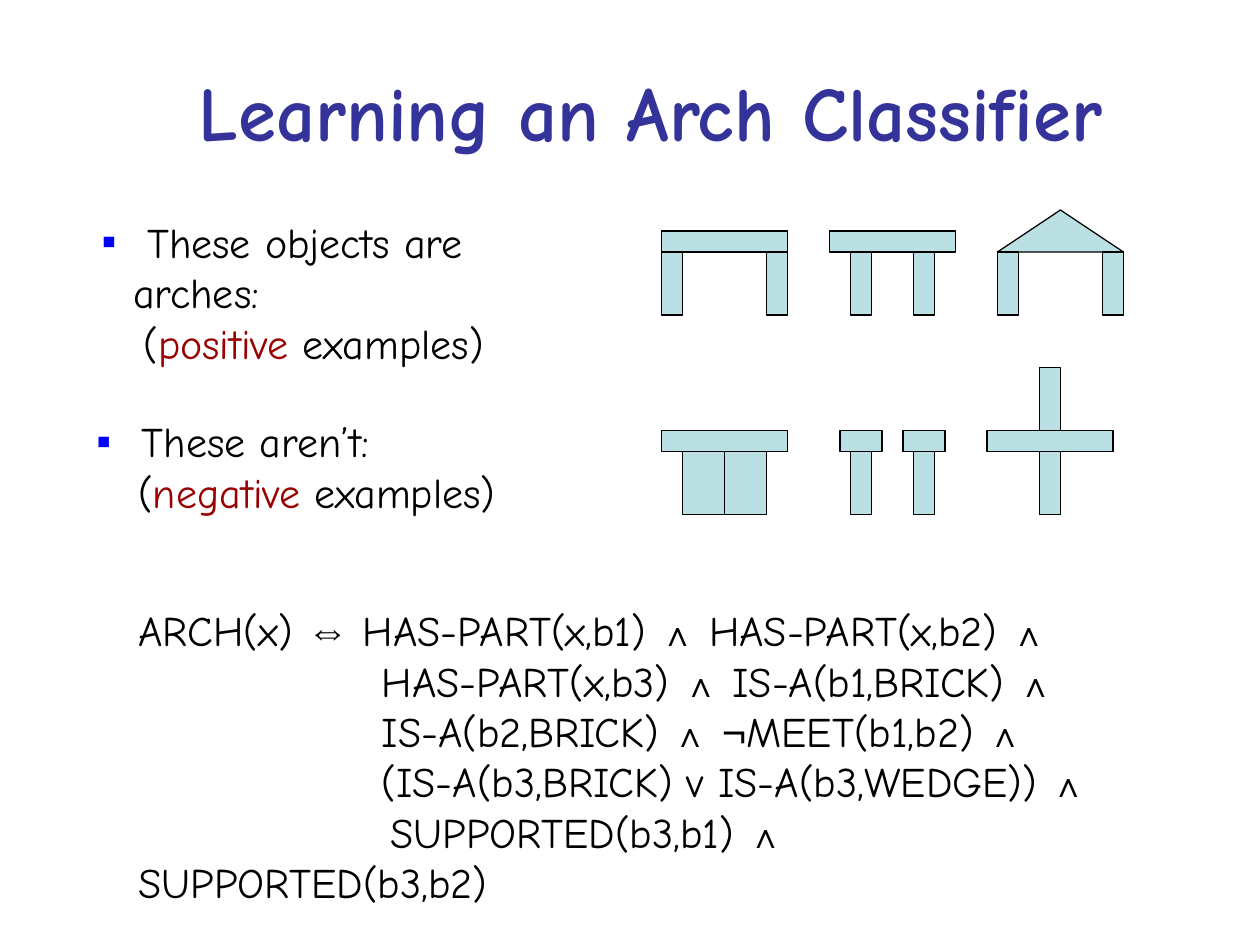
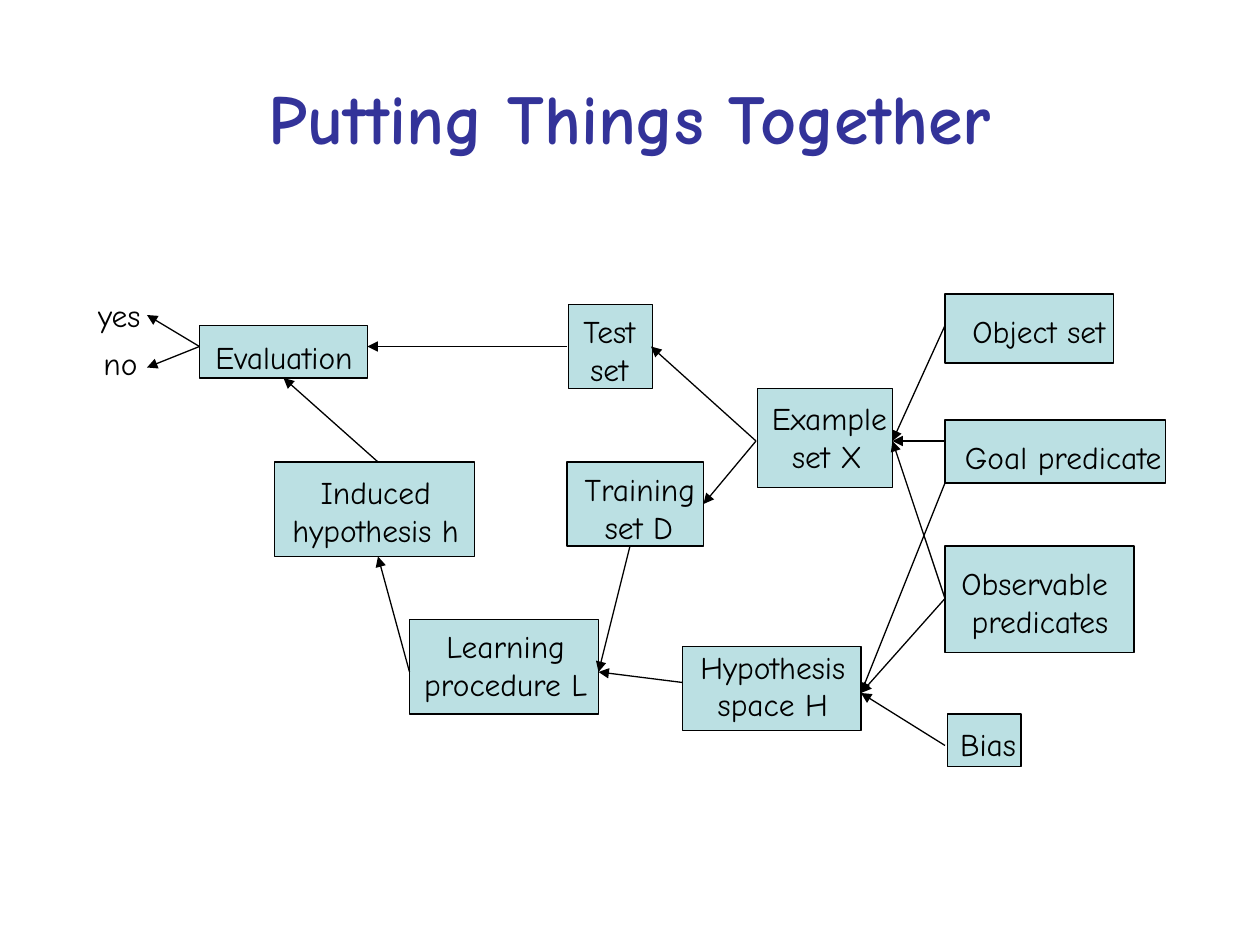
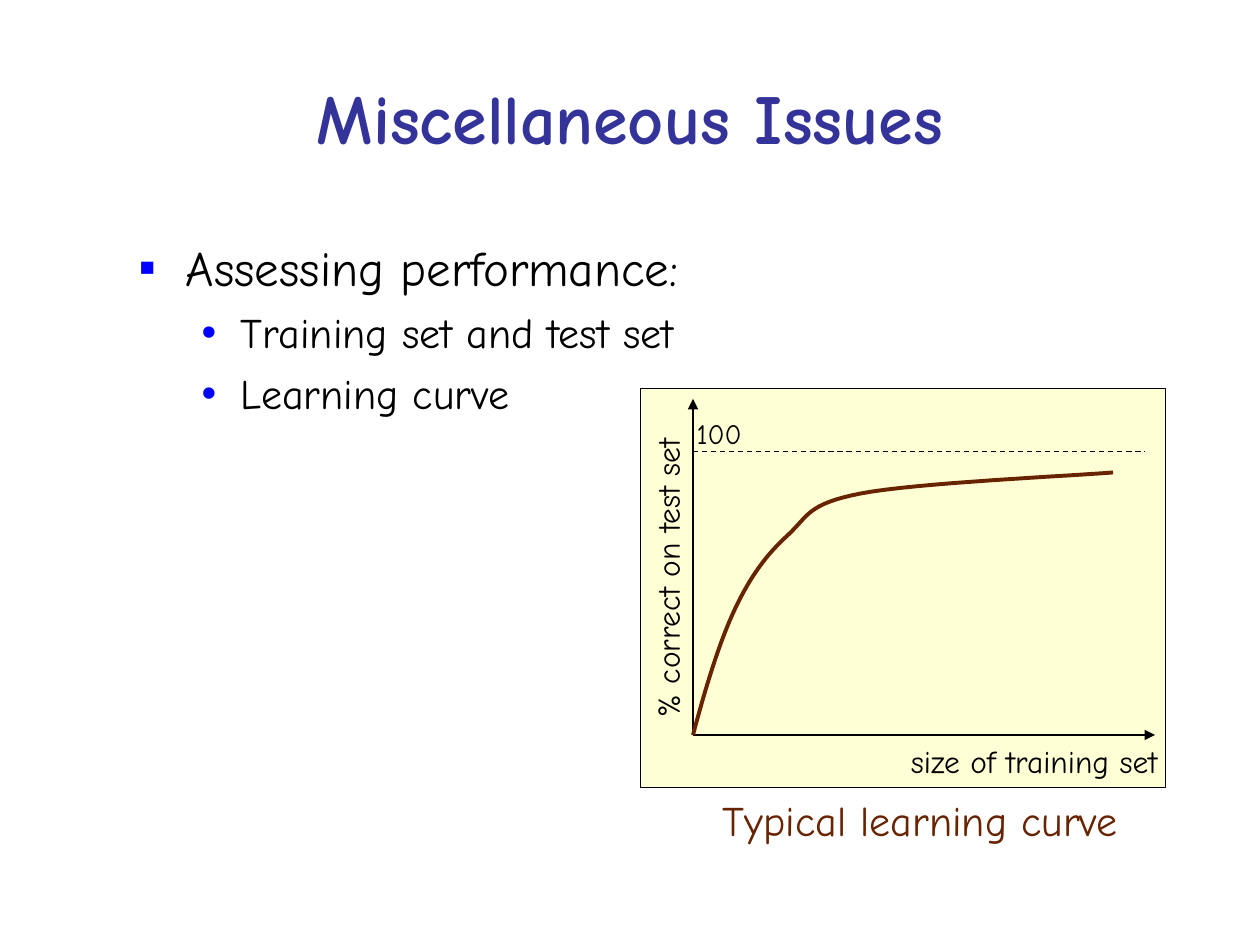
import itertools

import pptx
import pptx.dml.color
import pptx.enum.dml
import pptx.enum.shapes
import pptx.enum.text
import pptx.oxml
import pptx.oxml.ns
import pptx.util

Pt = pptx.util.Pt
RGB = pptx.dml.color.RGBColor
SHAPE = pptx.enum.shapes.MSO_SHAPE
ALIGN = pptx.enum.text.PP_ALIGN
qn = pptx.oxml.ns.qn

NAVY = RGB(0x33, 0x33, 0x99)
BLUE = RGB(0x00, 0x00, 0xFF)
AQUA = RGB(0xBB, 0xE0, 0xE3)
CREAM = RGB(0xFF, 0xFF, 0xD5)
RED = RGB(0x99, 0x00, 0x00)
BROWN = RGB(0x68, 0x23, 0x00)
BLACK = RGB(0x00, 0x00, 0x00)

FACE = "Comic Neue"
SIGN = "Arial"
UNIT = 12  # side of the grid on which the bricks lie
THIN = 0.75


class Deck:
    """Holds the shared style and the current slide."""

    def __init__(self):
        self.show = pptx.Presentation()
        self.show.slide_width = Pt(720)
        self.show.slide_height = Pt(540)
        self.slide = None

    def start(self, title, layout=5, size=40, top=21.6, width=648):
        self.slide = self.show.slides.add_slide(self.show.slide_layouts[layout])
        frame = self.place(self.slide.shapes.title, 36, top, width, 90)
        frame.vertical_anchor = pptx.enum.text.MSO_ANCHOR.MIDDLE
        self.line(frame, [(title, NAVY)], size, bold=True, align=ALIGN.CENTER)

    def place(self, shape, left, top, width, height):
        """Moves a shape and gives back its text frame, set not to resize."""
        shape.left, shape.top = Pt(left), Pt(top)
        shape.width, shape.height = Pt(width), Pt(height)
        shape.text_frame.auto_size = pptx.enum.text.MSO_AUTO_SIZE.NONE
        return shape.text_frame

    def body(self, left, top, width, height):
        return self.place(self.slide.placeholders[1], left, top, width, height)

    def text(self, left, top, width, height, wrap=False, turn=0):
        item = self.slide.shapes.add_textbox(0, 0, 0, 0)
        item.rotation = turn
        frame = self.place(item, left, top, width, height)
        frame.word_wrap = wrap
        return frame

    def run(self, par, words, size, color=BLACK, face=FACE, bold=False):
        font = self.add(par, words).font
        font.name, font.size, font.bold = face, Pt(size), bold
        font.color.rgb = color

    def add(self, par, words):
        run = par.add_run()
        run.text = words
        return run

    def line(self, frame, parts, size, bold=False, align=None, level=0,
             margin=0, hang=0, before=0, bullet=None):
        """Adds a paragraph of (words, colour) parts."""
        par = self.next(frame)
        par.level, par.alignment, par.space_before = level, align, Pt(before)
        self.indent(par, margin, hang)
        if bullet:
            props = par._p.get_or_add_pPr()
            color = pptx.oxml.parse_xml(
                f'<a:buClr {pptx.oxml.ns.nsdecls("a")}><a:srgbClr val="{BLUE}"/></a:buClr>')
            props.append(color)
            for tag, key, value in (("buFont", "typeface", SIGN), ("buChar", "char", bullet)):
                item = props.makeelement(qn("a:" + tag), {key: value})
                props.append(item)
        for words, color in parts:
            self.run(par, words, size, color, bold=bold)

    def next(self, frame):
        first = frame.paragraphs[0]
        return frame.add_paragraph() if first.runs else first

    def indent(self, par, margin, hang=0):
        props = par._p.get_or_add_pPr()
        props.set("marL", str(Pt(margin)))
        props.set("indent", str(-Pt(hang)))

    def box(self, left, top, width, height, fill=AQUA, kind=SHAPE.RECTANGLE):
        item = self.slide.shapes.add_shape(kind, Pt(left), Pt(top), Pt(width), Pt(height))
        item.shadow.inherit = False
        item.fill.solid()
        item.fill.fore_color.rgb = fill
        self.ink(item.line)

    def brick(self, col, row, wide, high, kind=SHAPE.RECTANGLE):
        """Draws a box measured in grid units."""
        self.box(col * UNIT, row * UNIT, wide * UNIT, high * UNIT, kind=kind)

    def ink(self, line, color=BLACK, width=THIN):
        line.color.rgb = color
        line.width = Pt(width)

    def link(self, start, end, dash=False):
        """Draws an arrow, or a dashed line without a head."""
        item = self.slide.shapes.add_connector(
            pptx.enum.shapes.MSO_CONNECTOR.STRAIGHT, *map(Pt, start + end))
        self.ink(item.line)
        props = item.element.spPr
        if dash:
            item.line.dash_style = pptx.enum.dml.MSO_LINE.DASH
        else:
            stroke = props.find(qn("a:ln"))
            stroke.append(stroke.makeelement(qn("a:tailEnd"), {"type": "triangle"}))
        props.append(props.makeelement(qn("a:effectLst"), {}))

    def curve(self, start, arcs, color, width, steps=16):
        """Draws joined cubic arcs, each given as two handles and an end."""
        dots = []
        last = start
        for arc in arcs:
            dots += [bezier((last,) + arc, k / steps) for k in range(1, steps + 1)]
            last = arc[-1]
        pen = self.slide.shapes.build_freeform(*map(Pt, start))
        pen.add_line_segments([tuple(map(Pt, dot)) for dot in dots], close=False)
        item = pen.convert_to_shape()
        item.shadow.inherit = False
        item.fill.background()
        self.ink(item.line, color, width)


def bezier(dots, t):
    u = 1 - t
    parts = (u ** 3, 3 * u * u * t, 3 * u * t * t, t ** 3)
    return tuple(sum(p * dot[axis] for p, dot in zip(parts, dots)) for axis in (0, 1))


# Face, size and weight of the logic signs
SIGNS = {"⇔": (SIGN, 24, True), "∧": (SIGN, 20, True), "¬": (SIGN, 24, False)}
PLAIN = (FACE, 24, False)

# Margin and words of each line
RULE = [
    (0, "ARCH(x) ⇔ HAS-PART(x,b1) ∧ HAS-PART(x,b2) ∧"),
    (139, "HAS-PART(x,b3) ∧ IS-A(b1,BRICK) ∧"),
    (139, "IS-A(b2,BRICK) ∧ ¬MEET(b1,b2) ∧"),
    (139, "(IS-A(b3,BRICK) v IS-A(b3,WEDGE)) ∧"),
    (144, "SUPPORTED(b3,b1) ∧"),
    (0, "SUPPORTED(b3,b2)"),
]


def arches(deck):
    deck.start("Learning an Arch Classifier", size=44, top=18, width=672)

    frame = deck.text(72, 342, 577, 151)
    for margin, words in RULE:
        par = deck.next(frame)
        deck.indent(par, margin)
        for (face, size, bold), group in itertools.groupby(
                words, key=lambda sign: SIGNS.get(sign, PLAIN)):
            deck.run(par, "".join(group), size, face=face, bold=bold)

    for left, top, head, word in ((51, 120, " These objects are arches:", "positive"),
                                  (48, 234, " These aren’t:", "negative")):
        frame = deck.text(left, top, 290, 65, wrap=True)
        deck.line(frame, [(head, BLACK)], 24, margin=18, hang=18, bullet="▪")
        deck.line(frame, [("(", BLACK), (word, RED), (" examples)", BLACK)], 24, margin=24)

    # Positive examples: a top on two posts
    tops = (SHAPE.RECTANGLE, SHAPE.RECTANGLE, SHAPE.ISOSCELES_TRIANGLE)
    for k, (kind, posts) in enumerate(zip(tops, ((0, 5), (1, 4), (0, 5)))):
        col = 31.5 + 8 * k
        high = 1 if kind == SHAPE.RECTANGLE else 2
        deck.brick(col, 12 - high, 6, high, kind)
        for post in posts:
            deck.brick(col + post, 12, 1, 3)

    # Negative examples: column and width of beams, then of posts
    for col, wide in ((31.5, 6), (40, 2), (43, 2), (47, 6)):
        deck.brick(col, 20.5, wide, 1)
    for col, wide in ((32.5, 2), (34.5, 2), (40.5, 1), (43.5, 1), (49.5, 1)):
        deck.brick(col, 21.5, wide, 3)
    deck.brick(49.5, 17.5, 1, 3)


# Box, then left, top and width of its label, and the label's lines
CENTRED = [
    ((540, 312, 108, 61), (542, 319, 104.4), ("Observable ", "predicates")),
    ((325, 174, 48, 48), (325.5, 175, 45.4), ("Test", "set")),
    ((157, 264, 114, 54), (160, 267, 109.4), ("Induced", "hypothesis h")),
    ((234, 354, 108, 54), (235, 355, 108), ("Learning", "procedure L")),
    ((390, 369.5, 102, 48), (393, 366.5, 97.2), ("Hypothesis", "space H")),
]
LEFT = [
    ((540, 168, 96.5, 39.5), (548.6, 175, 90), ("Object set",)),
    ((540, 240, 126, 36), (544.3, 247, 127.4), ("Goal predicate",)),
    ((433, 222, 77, 56.5), (434, 224.6, 80), ("Example", "set X")),
    ((324, 264, 78, 48), (327, 265, 77.8), ("Training", "set D")),
    ((114, 186, 96, 30), (116, 189.4, 93), ("Evaluation",)),
    ((541.5, 408, 42, 30), (541.5, 411, 46), ("Bias",)),
]
ANSWERS = [((49, 165.6, 39), "yes"), ((52, 193, 34), "no")]

# Each target with the points from which arrows reach it
ARROWS = {
    (510, 252): [(540, 186), (540, 252), (540, 342)],
    (402, 288): [(432, 252)],
    (372, 198): [(432, 252)],
    (342, 384): [(360, 312), (390, 390)],
    (216, 318): [(234, 384)],
    (162, 216): [(216, 264)],
    (210, 198): [(324, 198)],
    (84, 180): [(114, 198)],
    (84, 210): [(114, 198)],
    (492, 396): [(540, 342), (540, 426), (540, 276)],
}


def flow(deck):
    deck.start("Putting Things Together")
    for align, nodes in ((ALIGN.CENTER, CENTRED), (ALIGN.LEFT, LEFT)):
        for box, spot, lines in nodes:
            deck.box(*box)
            frame = deck.text(*spot, 7.2 + 21.6 * len(lines))
            for k, words in enumerate(lines):
                margin = 11.5 * k if align == ALIGN.LEFT else 0
                deck.line(frame, [(words, BLACK)], 18, align=align, margin=margin)
    for spot, words in ANSWERS:
        deck.line(deck.text(*spot, 28.8), [(words, BLACK)], 18)
    for end, starts in ARROWS.items():
        for start in starts:
            deck.link(start, end)


ARCS = [
    ((403.2, 393), (411, 367), (420, 348)),
    ((429, 329), (438, 317), (450, 306)),
    ((462, 295), (461, 288), (492, 282)),
    ((523, 276), (612, 272), (636, 270)),
]


def issues(deck):
    deck.start("Miscellaneous Issues", layout=1)
    frame = deck.body(72, 132, 612, 324)
    deck.line(frame, [("Assessing performance:", BLACK)], 28,
              margin=27, hang=27, before=7, bullet="▪")
    for words in ("Training set and test set", "Learning curve"):
        deck.line(frame, [(words, BLACK)], 24, level=1,
                  margin=58.5, hang=22.5, before=6, bullet="•")

    zero = (396, 420)
    deck.box(366, 222, 300, 228, CREAM)
    deck.link(zero, (396, 228))
    deck.link(zero, (660, 420))
    deck.curve(zero, ARCS, BROWN, 2.25)
    deck.link((396, 258), (654, 258), dash=True)

    for words, spot, size, color, turn in (
            ("size of training set", (513.4, 420.5, 156, 29), 18, BLACK, 0),
            ("% correct on test set", (294.5, 315.4, 174, 29), 18, BLACK, 270),
            ("100", (391, 234.7, 40, 26.6), 16, BLACK, 0),
            (" Typical learning curve", (398, 450.7, 248.4, 36), 24, BROWN, 0)):
        deck.line(deck.text(*spot, turn=turn), [(words, color)], size)


def main():
    deck = Deck()
    for page in (arches, flow, issues):
        page(deck)
    deck.show.save("out.pptx")


if __name__ == "__main__":
    main()
